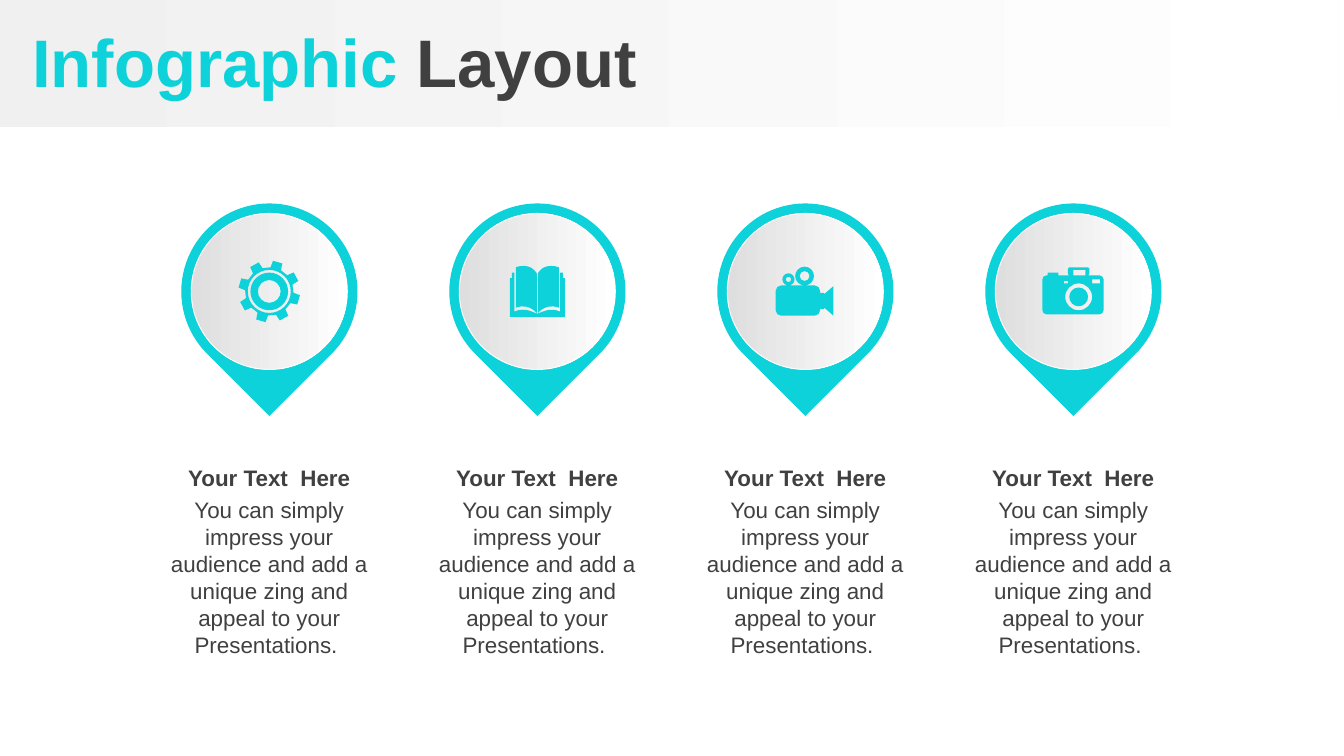
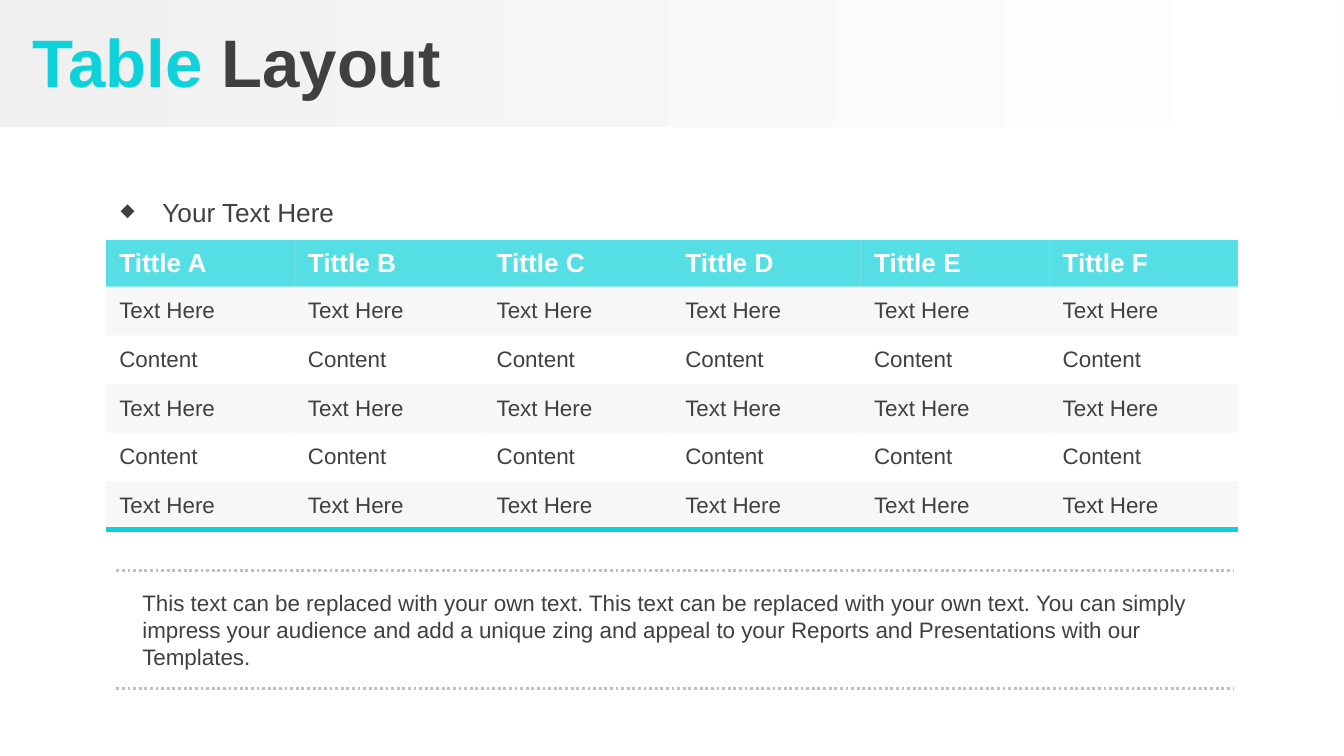
import math

import lxml.etree
import pptx
import pptx.dml.color
import pptx.enum.dml
import pptx.enum.shapes
import pptx.enum.text
import pptx.oxml.ns
import pptx.util

Cm, Pt = pptx.util.Cm, pptx.util.Pt
RGB = pptx.dml.color.RGBColor
Kind = pptx.enum.shapes.MSO_SHAPE
Align = pptx.enum.text.PP_ALIGN
Anchor = pptx.enum.text.MSO_ANCHOR
qn = pptx.oxml.ns.qn

AQUA = RGB(0x0D, 0xD2, 0xD9)
DARK = RGB(0x40, 0x40, 0x40)
WHITE = RGB(0xFF, 0xFF, 0xFF)
PALE = RGB(0xF0, 0xF0, 0xF0)
SILVER = RGB(0xDE, 0xDE, 0xDE)
STRIPE = RGB(0xD9, 0xD9, 0xD9)
DOTS = RGB(0xBF, 0xBF, 0xBF)
FONT = "Arial"
PLAIN = "{2D5ABB26-0587-4C30-8999-92F81FD0307C}"
UNIT = 0.0254  # one icon unit in cm
BEND = 0.55  # reach of a quarter circle's control points


# Outlines of icons, in units around the icon's centre.
# A point with a third item starts a curve: two controls and an end.
def turn(x, y, r, step):
    """Quarter circle, as its start and one curve."""
    spots = [(1, 0), (1, BEND, True), (BEND, 1), (0, 1)]
    for _ in range(step):
        spots = [(-b, a, *more) for a, b, *more in spots]
    return [(x + r * a, y + r * b, *more) for a, b, *more in spots]


def ring(x, y, r):
    curves = [p for step in range(4) for p in turn(x, y, r, step)[1:]]
    return [(x + r, y)] + curves


def box(left, top, right, bottom, r=0):
    if not r:
        return [(left, top), (right, top), (right, bottom), (left, bottom)]
    spots = [(right - r, bottom - r), (left + r, bottom - r),
             (left + r, top + r), (right - r, top + r)]
    return [p for i, (x, y) in enumerate(spots) for p in turn(x, y, r, i)]


def gear():
    tooth = [(18, -13), (23, -9), (23, 9), (18, 13)]
    rim = [(r * math.cos(math.radians(mid + a)),
            r * math.sin(math.radians(mid + a)))
           for mid in range(-74, 286, 45) for r, a in tooth]
    return [rim, ring(0, 0, 16), ring(0, 0, 14), ring(0, 0, 8.5)]


def book():
    page = [(0.4, -13.5), (3, -17.5, True), (6, -19), (10, -19),
            (12, -19, True), (13, -19), (16, -18), (16, 12),
            (11, 10, True), (5, 11), (0.4, 16)]
    cover = [(17, -14), (19, -14), (19, -10), (20.5, -10), (20.5, 19),
             (0, 19), (0, 16.5), (7, 14, True), (10, 12), (17, 15)]
    return [[(side * x, *rest) for x, *rest in part]
            for side in (-1, 1) for part in (page, cover)]


def movie():
    lens = [(11, 1), (14, 1), (14, 2), (21, -4), (21, 18), (14, 12),
            (14, 13), (11, 13)]
    return [box(-22, -4.5, 11, 18, 4), lens,
            ring(-0.5, -11.5, 7), ring(-0.5, -11.5, 3.7),
            ring(-12.5, -9, 4.5), ring(-12.5, -9, 2)]


def camera():
    return [box(-23, -12, 22.5, 17, 3), ring(4, 4, 10), ring(4, 4, 7),
            box(-7, -8, -4, -6), box(14, -9, 20, -6),
            box(-4, -18, 12, -12, 1), box(0, -16, 9, -12),
            box(-19, -14, -11, -12)]


class Deck:
    def __init__(self):
        self.show = pptx.Presentation()
        self.show.slide_width, self.show.slide_height = Cm(25.4), Cm(14.29)
        self.base = self.show.slide_layouts[5]
        self.slide = None

    def page(self, first, last):
        fresh = self.slide is None
        self.slide = self.show.slides.add_slide(self.base)
        if fresh:
            self.band()
        title = self.slide.shapes.title
        title.left, title.top = Cm(0), Cm(0.06)
        title.width, title.height = Cm(25.4), Cm(2.16)
        frame = title.text_frame
        frame.vertical_anchor = Anchor.MIDDLE
        para = frame.paragraphs[0]
        para.alignment = Align.LEFT
        self.style(para.font, 36, DARK, True)
        for words, color in ((first, AQUA), (last, DARK)):
            run = para.add_run()
            run.text = words
            run.font.color.rgb = color

    def band(self):
        """Put the shaded title band on the layout, behind everything."""
        band = self.shape(Kind.RECTANGLE, 0, 0, 25.3, 2.4)
        self.fade(band, PALE)
        self.base.shapes.element.insert(2, band.element)

    def style(self, font, size, color, bold=False):
        font.name, font.size, font.bold = FONT, Pt(size), bold
        font.color.rgb = color

    def shape(self, kind, x, y, w, h):
        item = self.slide.shapes.add_shape(kind, Cm(x), Cm(y), Cm(w), Cm(h))
        item.shadow.inherit = False
        item.line.fill.background()
        return item

    def paint(self, item, color):
        item.fill.solid()
        item.fill.fore_color.rgb = color

    def fade(self, item, color):
        item.fill.gradient()
        item.fill.gradient_angle = 0
        for i, (stop, tone) in enumerate(
                zip(item.fill.gradient_stops, (color, WHITE))):
            stop.color.rgb, stop.position = tone, i

    def text(self, words, x, y, w, h, size=12, bold=False, align=Align.LEFT):
        area = self.slide.shapes.add_textbox(Cm(x), Cm(y), Cm(w), Cm(h))
        frame = area.text_frame
        frame.word_wrap = True
        frame.auto_size = pptx.enum.text.MSO_AUTO_SIZE.SHAPE_TO_FIT_TEXT
        para = frame.paragraphs[0]
        para.text, para.alignment = words, align
        self.style(para.font, size, DARK, bold)
        return para

    def bullet(self, words, x, y, w, h):
        props = self.text(words, x, y, w, h, 14)._p.get_or_add_pPr()
        props.set("marL", str(Cm(0.79)))
        props.set("indent", str(-Cm(0.79)))
        props.insert(0, lxml.etree.Element(qn("a:buSzPct"), val="70000"))
        props.insert(1, lxml.etree.Element(qn("a:buChar"), char="◆"))

    def pin(self, x, y):
        drop, disc = 3.33, 2.95
        tear = self.shape(Kind.TEAR, x - drop / 2, y - drop / 2, drop, drop)
        tear.rotation = 135
        self.paint(tear, AQUA)
        face = self.shape(Kind.OVAL, x - disc / 2, y - disc / 2, disc, disc)
        self.fade(face, SILVER)
        face.line.color.rgb, face.line.width = WHITE, Pt(0.5)

    def icon(self, parts, x, y):
        dots = [[(Cm(p[0] * UNIT), Cm(p[1] * UNIT)) for p in part]
                for part in parts]
        pen = self.slide.shapes.build_freeform(*dots[0][0])
        for i, part in enumerate(dots):
            if i:
                pen.move_to(*part[0])
            # The end point is repeated so that close adds no line
            pen.add_line_segments(part[1:], close=True)
        item = pen.convert_to_shape(Cm(x), Cm(y))
        item.shadow.inherit = False
        item.line.fill.background()
        self.paint(item, AQUA)
        self.bend(item, [len(p) > 2 for part in parts for p in part[1:]])

    def bend(self, item, flags):
        """Join each flagged line and the next two into one curve."""
        lines = list(item.element.iter(qn("a:lnTo")))
        for i, flag in enumerate(flags):
            if flag:
                curve = lxml.etree.Element(qn("a:cubicBezTo"))
                lines[i].addprevious(curve)
                for line in lines[i:i + 3]:
                    curve.append(line[0])
                    line.getparent().remove(line)

    def rule(self, x, y, w):
        line = self.slide.shapes.add_connector(
            pptx.enum.shapes.MSO_CONNECTOR.STRAIGHT,
            Cm(x), Cm(y), Cm(x + w), Cm(y))
        line.line.color.rgb, line.line.width = DOTS, Pt(1.5)
        line.line.dash_style = pptx.enum.dml.MSO_LINE.ROUND_DOT
        lxml.etree.SubElement(line.element.spPr, qn("a:effectLst"))

    def tint(self, cell, color, share):
        self.paint(cell, color)
        tone = cell._tc.tcPr.find(".//" + qn("a:srgbClr"))
        lxml.etree.SubElement(tone, qn("a:alpha"), val=str(share * 1000))

    def edge(self, cell):
        line = lxml.etree.Element(qn("a:lnB"), w=str(Pt(3)))
        fill = lxml.etree.SubElement(line, qn("a:solidFill"))
        lxml.etree.SubElement(fill, qn("a:srgbClr"), val=str(AQUA))
        cell._tc.get_or_add_tcPr().insert(0, line)

    def table(self, rows, x, y, w, h):
        frame = self.slide.shapes.add_table(
            len(rows), len(rows[0]), Cm(x), Cm(y), Cm(w), Cm(h))
        grid = frame.table
        grid._tbl.tblPr.find(qn("a:tableStyleId")).text = PLAIN
        grid.first_row = grid.horz_banding = False
        grid.rows[0].height = Cm(0.88)
        for r, row in enumerate(rows):
            for c, words in enumerate(row):
                cell = grid.cell(r, c)
                cell.vertical_anchor = Anchor.MIDDLE
                para = cell.text_frame.paragraphs[0]
                para.text = words
                if r == 0:
                    self.style(para.font, 14, WHITE, True)
                    self.tint(cell, AQUA, 70)
                    continue
                self.style(para.font, 12, DARK)
                if r % 2:
                    self.tint(cell, STRIPE, 20)
                else:
                    cell.fill.background()
                if r == len(rows) - 1:
                    self.edge(cell)


def main():
    deck = Deck()

    # Four pins with captions
    deck.page(" Infographic ", "Layout")
    wide = 4.32
    for i, draw in enumerate((gear, book, movie, camera)):
        mid = 5.09 + 20.26 * i / 4
        deck.pin(mid, 5.51)
        deck.icon(draw(), mid, 5.51)
        deck.text("You can simply impress your audience and add a unique "
                  "zing and appeal to your Presentations. ",
                  mid - wide / 2, 9.26, wide, 3.33, align=Align.CENTER)
        deck.text("Your Text  Here", mid - wide / 2, 8.65, wide, 0.76,
                  bold=True, align=Align.CENTER)

    # Table with a note between dotted rules
    deck.page(" Table ", "Layout")
    heads = [f"Tittle {c}" for c in "ABCDEF"]
    body = [[("Content", "Text Here")[r % 2]] * 6 for r in range(1, 6)]
    deck.table([heads] + body, 2, 4.54, 21.4, 5.52)
    deck.text("This text can be replaced with your own text. This text can "
              "be replaced with your own text. You can simply impress your "
              "audience and add a unique zing and appeal to your Reports "
              "and Presentations with our Templates.",
              2.44, 11.01, 20.5, 1.8)
    for y in (10.78, 13.01):
        deck.rule(2.2, y, 21.1)
    deck.bullet("Your Text Here", 2.03, 3.58, 5.28, 0.86)

    deck.show.save("out.pptx")


if __name__ == "__main__":
    main()
